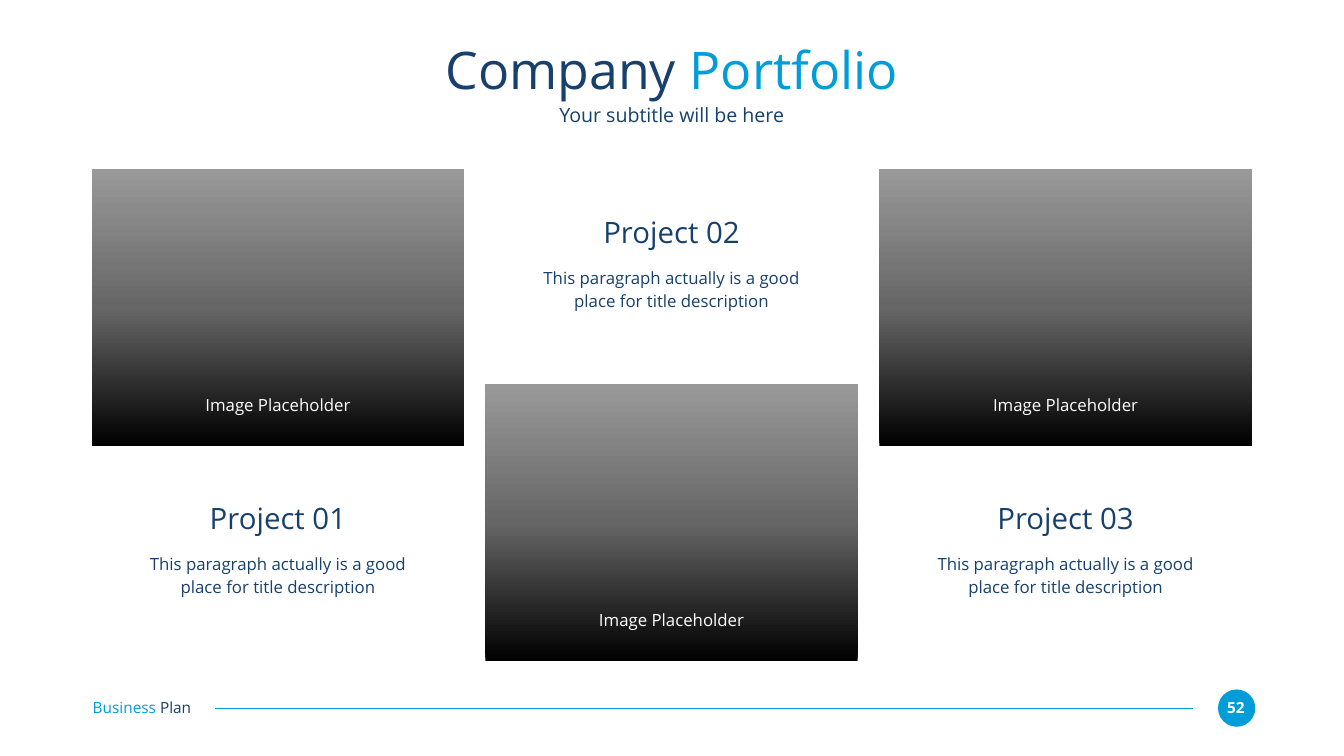
from copy import deepcopy
from dataclasses import dataclass

from lxml.etree import SubElement
from pptx import Presentation
from pptx.dml.color import RGBColor
from pptx.enum.shapes import MSO_CONNECTOR, MSO_SHAPE
from pptx.enum.text import MSO_ANCHOR as Anchor, PP_ALIGN as Align
from pptx.oxml.ns import qn
from pptx.slide import Slide
from pptx.util import Emu, Pt

EMU_PER_PX = 9144
FONT = "Open Sans"
NAVY, BLUE, WHITE = "17406D", "009DD9", "FFFFFF"
GRADIENT = ("000000", "666666", "999999")
DESCRIPTION = "This paragraph actually is a good place for title description"

FIRST_LEFT, LAST_LEFT = 182, 1745
IMAGE_WIDTH, IMAGE_HEIGHT = 739, 549
LABEL_WIDTH, CAPTION_WIDTH = 595, 571


@dataclass(frozen=True)
class Box:
    left: int
    top: int
    width: int
    height: int


@dataclass(frozen=True)
class Project:
    name: str
    image_top: int
    label_top: int


PROJECTS = (
    Project("Project 01", 336, 992),
    Project("Project 02", 762, 424),
    Project("Project 03", 336, 992),
)


def px(value: int) -> Emu:
    return Emu(value * EMU_PER_PX)


def color(value: str) -> RGBColor:
    return RGBColor.from_string(value)


def add_text(slide: Slide, box: Box, parts: list[tuple[str, str]], size: int,
             align: Align = Align.CENTER, bold: bool = False, spacing: float = 1.0) -> None:
    shape = slide.shapes.add_textbox(px(box.left), px(box.top), px(box.width), px(box.height))
    frame = shape.text_frame
    frame.word_wrap = True
    frame.vertical_anchor = Anchor.MIDDLE
    frame.margin_left = frame.margin_right = frame.margin_top = frame.margin_bottom = 0
    paragraph = frame.paragraphs[0]
    paragraph.alignment = align
    paragraph.line_spacing = spacing
    for text, text_color in parts:
        run = paragraph.add_run()
        run.text = text
        run.font.name = FONT
        run.font.size = Pt(size)
        run.font.bold = bold
        run.font.color.rgb = color(text_color)


def add_image_area(slide: Slide, box: Box) -> None:
    shape = slide.shapes.add_shape(
        MSO_SHAPE.RECTANGLE, px(box.left), px(box.top), px(box.width), px(box.height))
    shape.shadow.inherit = False
    shape.line.fill.background()
    shape.fill.gradient()
    shape.fill.gradient_angle = 90
    stop_list = shape._element.spPr.find(qn("a:gradFill")).find(qn("a:gsLst"))
    stop_list.insert(1, deepcopy(stop_list[0]))
    for index, (stop, stop_color) in enumerate(zip(shape.fill.gradient_stops, GRADIENT)):
        stop.position = index / 2
        stop.color.rgb = color(stop_color)


def add_project(slide: Slide, project: Project, left: int) -> None:
    label_left = left + (IMAGE_WIDTH - LABEL_WIDTH) // 2
    caption_left = left + (IMAGE_WIDTH - CAPTION_WIDTH) // 2
    add_text(slide, Box(label_left, project.label_top, LABEL_WIDTH, 71),
             [(project.name, NAVY)], 42)
    add_text(slide, Box(label_left, project.label_top + 97, LABEL_WIDTH, 101),
             [(DESCRIPTION, NAVY)], 24, spacing=1.14)
    add_image_area(slide, Box(left, project.image_top, IMAGE_WIDTH, IMAGE_HEIGHT))
    add_text(slide, Box(caption_left, project.image_top + 447, CAPTION_WIDTH, 40),
             [("Image Placeholder", WHITE)], 24)


def add_footer(slide: Slide) -> None:
    badge = slide.shapes.add_shape(MSO_SHAPE.OVAL, px(2417), px(1368), px(74), px(74))
    badge.shadow.inherit = False
    badge.fill.solid()
    badge.fill.fore_color.rgb = color(BLUE)
    badge.line.fill.background()
    add_text(slide, Box(2423, 1385, 59, 37), [("52", WHITE)], 22, bold=True)
    rule = slide.shapes.add_connector(
        MSO_CONNECTOR.STRAIGHT, px(2367), px(1405), px(427), px(1405))
    rule.line.color.rgb = color(BLUE)
    rule.line.width = Pt(1.5)
    SubElement(rule._element.spPr, qn("a:effectLst"))
    add_text(slide, Box(184, 1384, 259, 37),
             [("Business ", BLUE), ("Plan", NAVY)], 22, Align.LEFT)


def main() -> None:
    presentation = Presentation()
    presentation.slide_width = px(2667)
    presentation.slide_height = px(1500)
    slide = presentation.slides.add_slide(presentation.slide_layouts[6])
    add_footer(slide)
    add_text(slide, Box(183, 73, 2300, 127), [("Company ", NAVY), ("Portfolio", BLUE)], 74)
    add_text(slide, Box(183, 203, 2300, 49), [("Your subtitle will be here", NAVY)], 28)
    for index, project in enumerate(PROJECTS):
        left = FIRST_LEFT + index * (LAST_LEFT - FIRST_LEFT) // (len(PROJECTS) - 1)
        add_project(slide, project, left)
    presentation.save("out.pptx")


if __name__ == "__main__":
    main()
